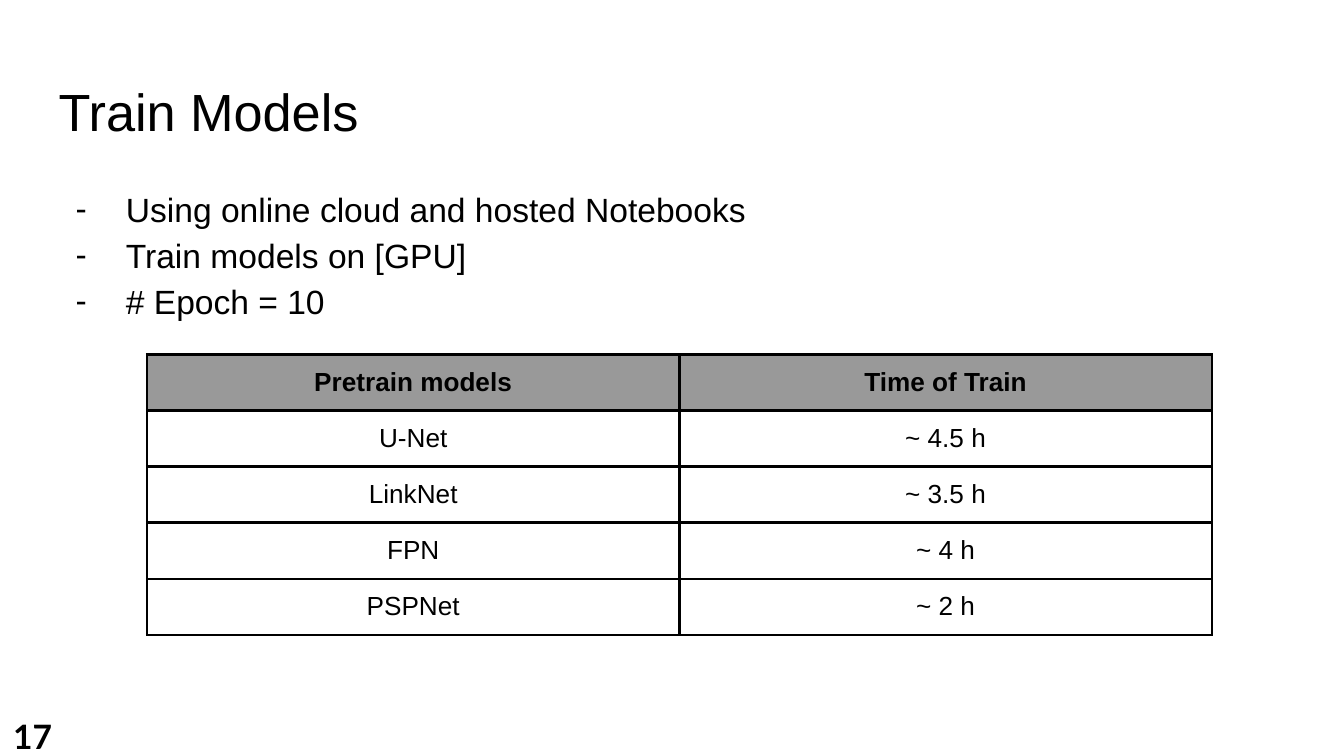
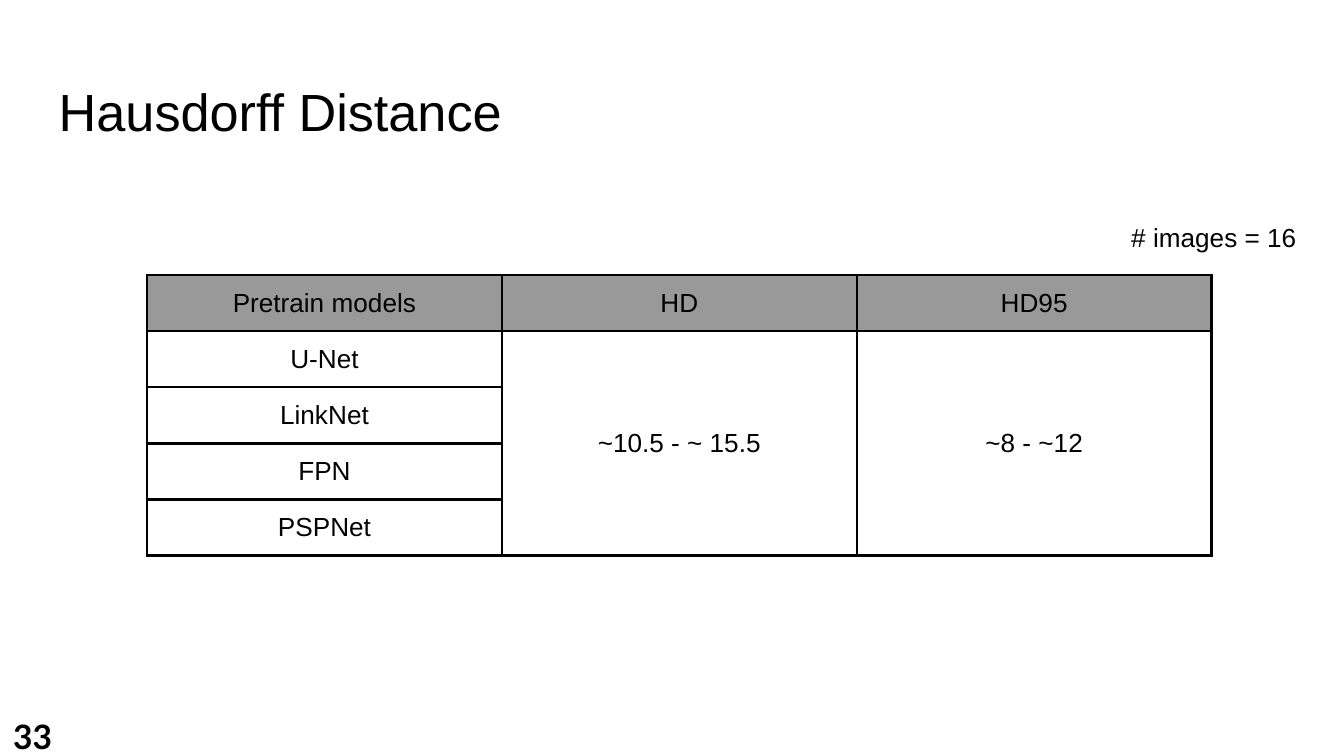
from dataclasses import dataclass

from lxml.etree import SubElement
from pptx import Presentation
from pptx.dml.color import RGBColor
from pptx.enum.text import MSO_ANCHOR, MSO_AUTO_SIZE, PP_ALIGN
from pptx.oxml.ns import qn
from pptx.util import Cm, Pt

SLIDES = [
    {
        "title": "Train Models",
        "number": "17",
        "bullets": [
            "Using online cloud and hosted Notebooks",
            "Train models on [GPU]",
            "# Epoch = 10",
        ],
        "table_top": 6.7,
        "bold_header": True,
        "rows": [
            ("Pretrain models", "Time of Train"),
            ("U-Net", "~ 4.5 h"),
            ("LinkNet", "~ 3.5 h"),
            ("FPN", "~ 4 h"),
            ("PSPNet", "~ 2 h"),
        ],
    },
    {
        "title": "Hausdorff Distance",
        "number": "33",
        "note": "# images = 16",
        "table_top": 5.2,
        "bold_header": False,
        # None continues the cell above
        "rows": [
            ("Pretrain models", "HD", "HD95"),
            ("U-Net", "~10.5 - ~ 15.5", "~8 - ~12"),
            ("LinkNet", None, None),
            ("FPN", None, None),
            ("PSPNet", None, None),
        ],
    },
]


@dataclass(frozen=True)
class Theme:
    text: RGBColor = RGBColor(0, 0, 0)
    header: RGBColor = RGBColor(0x99, 0x99, 0x99)
    border: str = "000000"
    border_width: int = Pt(1.5)
    font: str = "Arial"
    number_font: str = "Lato"
    title_size: int = Pt(28)
    body_size: int = Pt(18)
    small_size: int = Pt(14)
    inset: int = Cm(0.25)


THEME = Theme()

# left, top, width, height in centimetres
TITLE_BOX = (0.86, 1.24, 23.67, 1.6)
BODY_BOX = (0.86, 3.2, 23.67, 9.5)
NUMBER_BOX = (0, 13.28, 1.55, 0.76)
NOTE_BOX = (21.13, 3.94, 4.27, 1)

TABLE_LEFT, TABLE_WIDTH, ROW_HEIGHT = 2.78, 20.12, 1.06


def add_run(paragraph, text, size, font=THEME.font, bold=False):
    run = paragraph.add_run()
    run.text = text
    run.font.name = font
    run.font.size = size
    run.font.bold = bold
    run.font.color.rgb = THEME.text


def set_insets(holder):
    """Give a text frame or a table cell the shared margins."""
    holder.margin_left = holder.margin_right = THEME.inset
    holder.margin_top = holder.margin_bottom = THEME.inset


def prepare_frame(shape):
    frame = shape.text_frame
    frame.word_wrap = True
    frame.auto_size = MSO_AUTO_SIZE.NONE
    frame.vertical_anchor = MSO_ANCHOR.TOP
    set_insets(frame)
    return frame


def add_text_box(slide, box):
    return prepare_frame(slide.shapes.add_textbox(*map(Cm, box)))


def add_title(slide, text):
    title = slide.shapes.title
    title.left, title.top, title.width, title.height = map(Cm, TITLE_BOX)
    paragraph = prepare_frame(title).paragraphs[0]
    paragraph.alignment = PP_ALIGN.LEFT
    add_run(paragraph, text, THEME.title_size)


def add_bullets(slide, items):
    frame = add_text_box(slide, BODY_BOX)
    for index, item in enumerate(items):
        paragraph = frame.add_paragraph() if index else frame.paragraphs[0]
        paragraph.line_spacing = 1.15
        properties = paragraph._p.get_or_add_pPr()
        properties.set("marL", str(Cm(1.27)))
        properties.set("indent", str(-Cm(0.95)))
        SubElement(properties, qn("a:buFont"), typeface=THEME.font)
        SubElement(properties, qn("a:buChar"), char="-")
        add_run(paragraph, item, THEME.body_size)


def add_borders(cell):
    properties = cell._tc.get_or_add_tcPr()
    for side in ("lnL", "lnR", "lnT", "lnB"):
        line = SubElement(properties, qn(f"a:{side}"), w=str(THEME.border_width))
        fill = SubElement(line, qn("a:solidFill"))
        SubElement(fill, qn("a:srgbClr"), val=THEME.border)


def format_cell(cell, is_header):
    add_borders(cell)
    set_insets(cell)
    if is_header:
        cell.fill.solid()
        cell.fill.fore_color.rgb = THEME.header
    else:
        cell.fill.background()


def add_table(slide, rows, top, bold_header):
    row_count, column_count = len(rows), len(rows[0])
    table = slide.shapes.add_table(
        row_count, column_count, Cm(TABLE_LEFT), Cm(top),
        Cm(TABLE_WIDTH), Cm(ROW_HEIGHT * row_count)).table
    table.first_row = table.horz_banding = False

    for row_index, row in enumerate(rows):
        for column_index, text in enumerate(row):
            cell = table.cell(row_index, column_index)
            is_header = row_index == 0
            format_cell(cell, is_header)
            if text is None:
                continue
            paragraph = cell.text_frame.paragraphs[0]
            paragraph.alignment = PP_ALIGN.CENTER
            add_run(paragraph, text, THEME.small_size, bold=is_header and bold_header)

            last = row_index
            while last + 1 < row_count and rows[last + 1][column_index] is None:
                last += 1
            if last > row_index:
                cell.merge(table.cell(last, column_index))
                cell.vertical_anchor = MSO_ANCHOR.MIDDLE


def build_slide(presentation, content):
    slide = presentation.slides.add_slide(presentation.slide_layouts[5])
    add_title(slide, content["title"])
    if "bullets" in content:
        add_bullets(slide, content["bullets"])
    add_table(slide, content["rows"], content["table_top"], content["bold_header"])
    number = add_text_box(slide, NUMBER_BOX).paragraphs[0]
    add_run(number, content["number"], THEME.body_size, THEME.number_font, bold=True)
    if "note" in content:
        note = add_text_box(slide, NOTE_BOX).paragraphs[0]
        add_run(note, content["note"], THEME.small_size)


def main():
    presentation = Presentation()
    presentation.slide_width = Cm(25.4)
    presentation.slide_height = Cm(14.29)
    for content in SLIDES:
        build_slide(presentation, content)
    presentation.save("out.pptx")


if __name__ == "__main__":
    main()
